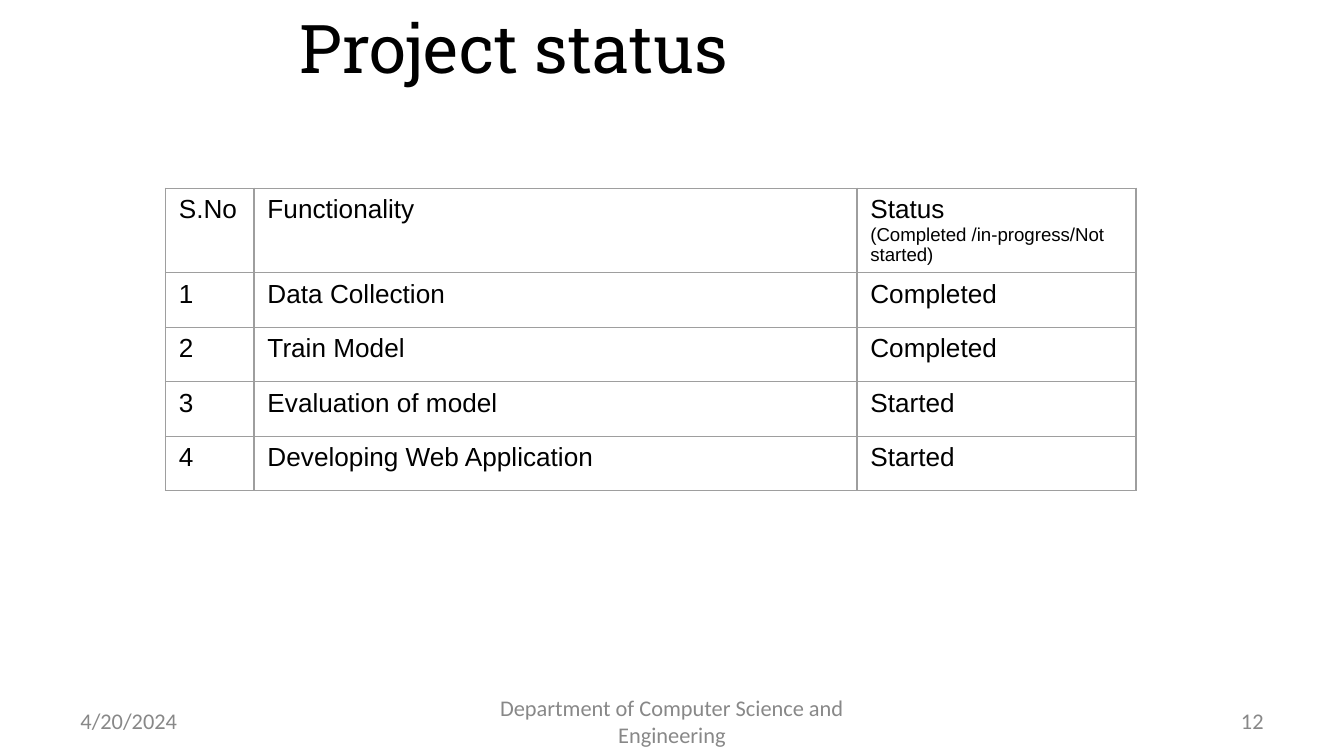
from pptx import Presentation
from pptx.dml.color import RGBColor
from pptx.enum import text
from pptx.oxml import parse_xml
from pptx.oxml.ns import nsdecls
from pptx.util import Pt

BLACK, GREY, BORDER = "000000", "888888", "9E9E9E"


def write(paragraph, words, size=14, font="Arial", color=BLACK, align=text.PP_ALIGN.LEFT):
    paragraph.alignment = align
    run = paragraph.add_run()
    run.text = words
    run.font.size = Pt(size)
    run.font.name = font
    run.font.bold = False
    run.font.color.rgb = RGBColor.from_string(color)


def add_borders(cell):
    properties = cell._tc.get_or_add_tcPr()
    for index, side in enumerate(("lnL", "lnR", "lnT", "lnB")):
        properties.insert(index, parse_xml(
            f'<a:{side} {nsdecls("a")} w="{Pt(0.75)}"><a:solidFill>'
            f'<a:srgbClr val="{BORDER}"/></a:solidFill></a:{side}>'))


presentation = Presentation()
presentation.slide_width, presentation.slide_height = Pt(720), Pt(405)
slide = presentation.slides.add_slide(presentation.slide_layouts[5])

# Title
title = slide.shapes.title
title.left, title.top, title.width, title.height = Pt(34.5), Pt(0), Pt(481.7), Pt(49.7)
title.text_frame.vertical_anchor = text.MSO_ANCHOR.MIDDLE
write(title.text_frame.paragraphs[0], "Project status", size=36, font="Roboto Slab",
      align=text.PP_ALIGN.CENTER)

# Status table
rows = [
    ("S.No", "Functionality", "Status\n(Completed /in-progress/Not started)"),
    ("1", "Data Collection", "Completed"),
    ("2", "Train Model", "Completed"),
    ("3", "Evaluation of model", "Started"),
    ("4", "Developing Web Application", "Started"),
]
column_widths = (47.5, 323, 149.5)
row_heights = [45] + [29.2] * 4
table = slide.shapes.add_table(len(rows), len(column_widths), Pt(88.6), Pt(100.8),
                               Pt(sum(column_widths)), Pt(sum(row_heights))).table
table.first_row = table.horz_banding = False
for column, width in zip(table.columns, column_widths):
    column.width = Pt(width)
for row, height, values in zip(table.rows, row_heights, rows):
    row.height = Pt(height)
    for cell, value in zip(row.cells, values):
        cell.fill.background()
        add_borders(cell)
        heading, *notes = value.split("\n")
        write(cell.text_frame.paragraphs[0], heading)
        for note in notes:
            write(cell.text_frame.add_paragraph(), note, size=10)

# Footer: date, department, slide number
footers = [
    (36, 168, "4/20/2024", text.PP_ALIGN.LEFT),
    (246, 228, "Department of Computer Science and Engineering", text.PP_ALIGN.CENTER),
    (516, 168, "12", text.PP_ALIGN.RIGHT),
]
for left, width, words, align in footers:
    footer = slide.shapes.add_textbox(Pt(left), Pt(375.4), Pt(width), Pt(21.6))
    footer.text_frame.word_wrap = True
    footer.text_frame.vertical_anchor = text.MSO_ANCHOR.MIDDLE
    write(footer.text_frame.paragraphs[0], words, size=12, font="Calibri",
          color=GREY, align=align)

presentation.save("out.pptx")
